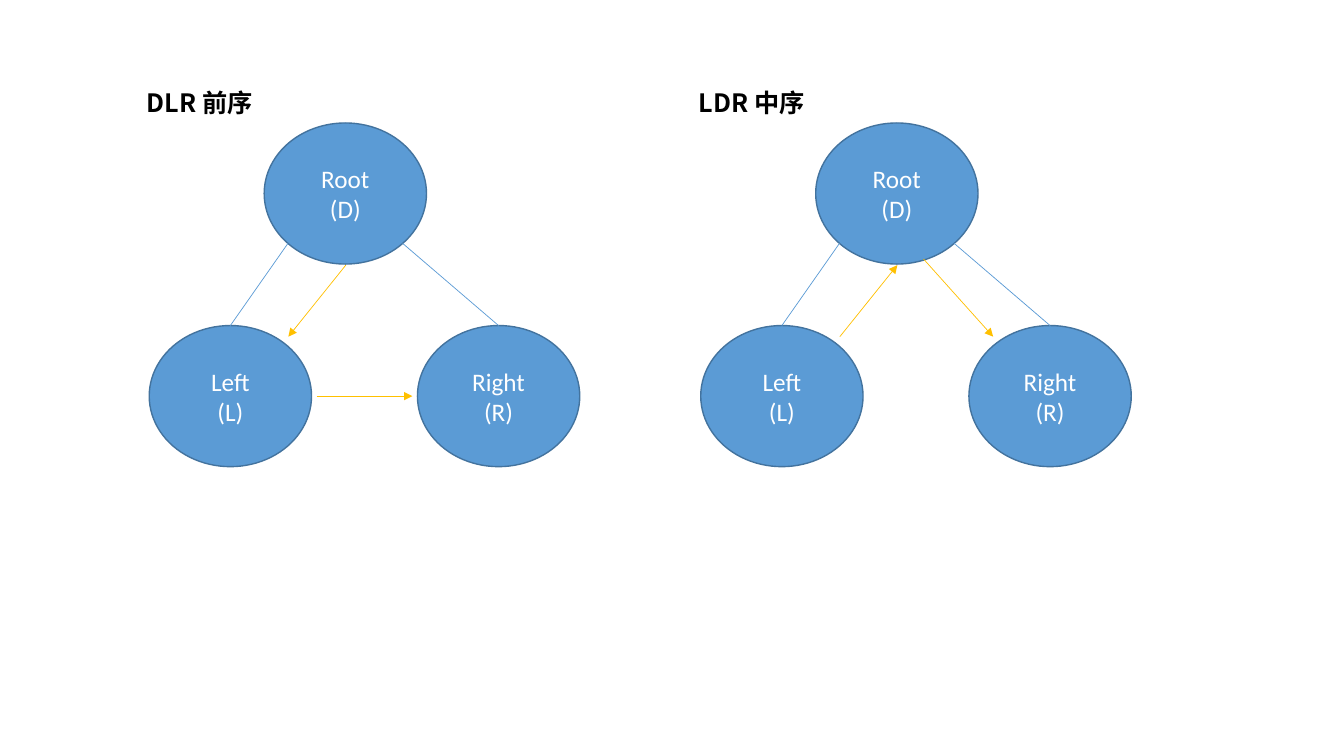
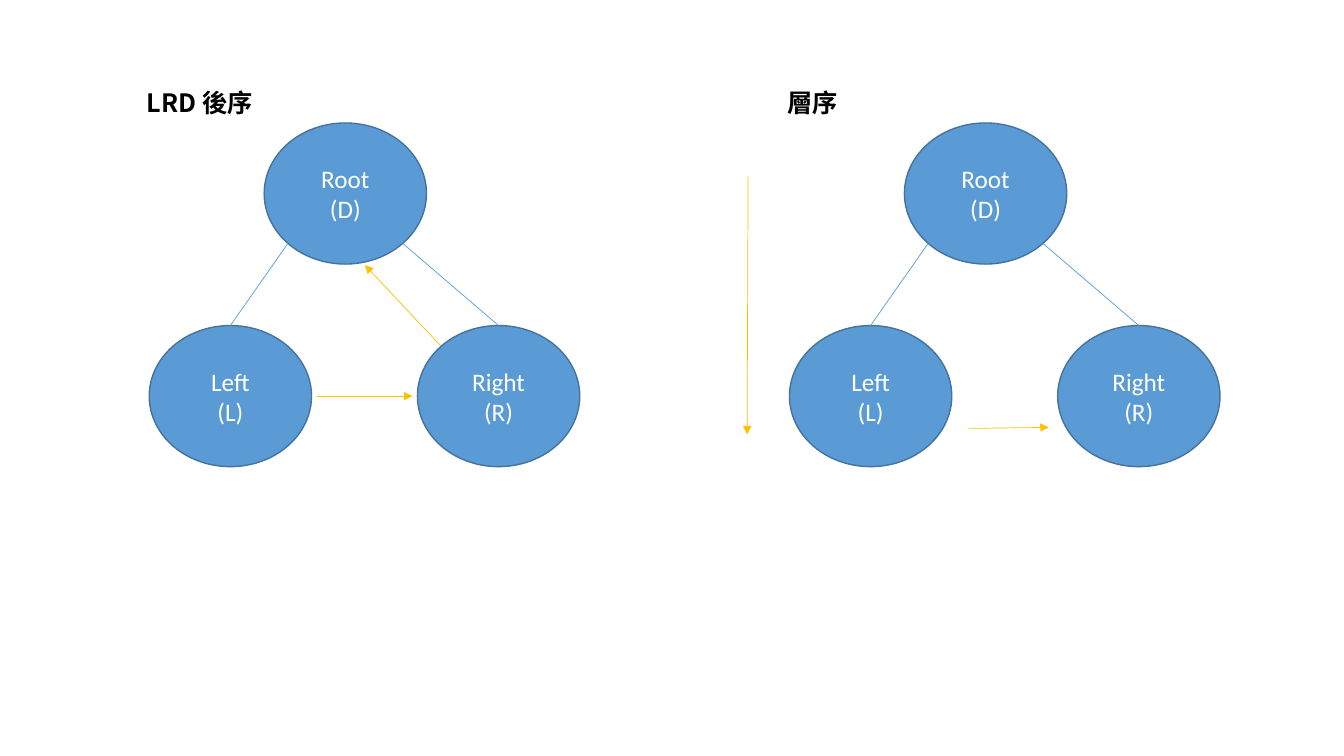
import math

from pptx import Presentation
from pptx import util as u
from pptx.dml.color import RGBColor
from pptx.enum import shapes, text
from pptx.oxml.ns import qn

BLUE, EDGE, GOLD, WHITE, BLACK = "5B9BD5", "43739E", "FFC000", "FFFFFF", "000000"
NODE_FONT, LABEL_FONT = "Calibri", "Noto Sans CJK SC"
NODE_W, NODE_H = 1.61, 1.4
ROOT_TOP, CHILD_TOP = 1.22, 3.23
ROOT_X, LEFT_X, RIGHT_X = 1.14, 0, 2.66
LABEL_X, LABEL_TOP, LABEL_H = -0.12, 0.82, 0.4

NODES = [
    ("Root\n(D)", ROOT_X, ROOT_TOP),
    ("Left\n(L)", LEFT_X, CHILD_TOP),
    ("Right\n(R)", RIGHT_X, CHILD_TOP),
]

ROOT_BOTTOM, LEFT_SHOULDER = (1.95, 2.63), (1.38, 3.34)
ACROSS = ((1.66, 3.93), (2.61, 3.93))

SLIDES = [
    [
        {"label": "DLR 前序", "label_w": 1.26, "x": 1.48,
         "arrows": [(ROOT_BOTTOM, LEFT_SHOULDER), ACROSS]},
        {"label": "LDR 中序", "label_w": 1.26, "x": 6.95,
         "arrows": [(LEFT_SHOULDER, ROOT_BOTTOM), ((2.21, 2.57), (2.9, 3.34))]},
    ],
    [
        {"label": "LRD 後序", "label_w": 1.26, "x": 1.48,
         "arrows": [ACROSS, ((2.89, 3.43), (2.14, 2.63))]},
        {"label": "層序", "label_w": 0.71, "x": 7.83,
         "arrows": [((-0.41, 1.75), (-0.42, 4.31)), ((1.78, 4.25), (2.57, 4.24))]},
    ],
]


def rgb(value):
    return RGBColor.from_string(value)


def format_text(frame, font, color, bold=False, align=text.PP_ALIGN.LEFT):
    for para in frame.paragraphs:
        para.alignment = align
        for span in para.runs:
            span.font.size = u.Pt(18)
            span.font.name = font
            span.font.bold = bold
            span.font.color.rgb = rgb(color)
            east_asian = span.font._element.makeelement(qn("a:ea"), {"typeface": font})
            span.font._element.find(qn("a:latin")).addnext(east_asian)


def add_node(page, caption, left, top):
    node = page.shapes.add_shape(
        shapes.MSO_SHAPE.OVAL, u.Inches(left), u.Inches(top),
        u.Inches(NODE_W), u.Inches(NODE_H))
    node.shadow.inherit = False
    node.fill.solid()
    node.fill.fore_color.rgb = rgb(BLUE)
    node.line.color.rgb = rgb(EDGE)
    node.line.width = u.Pt(1)
    node.text_frame.text = caption
    node.text_frame.vertical_anchor = text.MSO_ANCHOR.MIDDLE
    format_text(node.text_frame, NODE_FONT, WHITE, align=text.PP_ALIGN.CENTER)


def add_label(page, caption, left, width):
    box = page.shapes.add_textbox(
        u.Inches(left), u.Inches(LABEL_TOP), u.Inches(width), u.Inches(LABEL_H))
    frame = box.text_frame
    frame.word_wrap = True
    frame.auto_size = text.MSO_AUTO_SIZE.SHAPE_TO_FIT_TEXT
    frame.text = caption
    format_text(frame, LABEL_FONT, BLACK, bold=True)


def add_line(page, x, start, end, color, arrow=False):
    line = page.shapes.add_connector(
        shapes.MSO_CONNECTOR.STRAIGHT,
        u.Inches(x + start[0]), u.Inches(start[1]),
        u.Inches(x + end[0]), u.Inches(end[1]))
    line.line.color.rgb = rgb(color)
    line.line.width = u.Pt(0.5)
    properties = line._element.spPr
    if arrow:
        outline = properties.find(qn("a:ln"))
        outline.append(outline.makeelement(qn("a:tailEnd"), {"type": "triangle"}))
    properties.append(properties.makeelement(qn("a:effectLst"), {}))


def add_tree(page, tree):
    x = tree["x"]
    for caption, left, top in NODES:
        add_node(page, caption, x + left, top)
    add_label(page, tree["label"], x + LABEL_X, tree["label_w"])

    reach_x, reach_y = (size / 2 * math.sqrt(0.5) for size in (NODE_W, NODE_H))
    branch_y = ROOT_TOP + NODE_H / 2 + reach_y
    for side, child_x in ((-1, LEFT_X), (1, RIGHT_X)):
        start = (ROOT_X + NODE_W / 2 + side * reach_x, branch_y)
        add_line(page, x, start, (child_x + NODE_W / 2, CHILD_TOP), BLUE)
    for start, end in tree["arrows"]:
        add_line(page, x, start, end, GOLD, arrow=True)


def main():
    deck = Presentation()
    deck.slide_width, deck.slide_height = u.Inches(13.33), u.Inches(7.5)
    for trees in SLIDES:
        page = deck.slides.add_slide(deck.slide_layouts[6])
        for tree in trees:
            add_tree(page, tree)
    deck.save("out.pptx")


if __name__ == "__main__":
    main()
